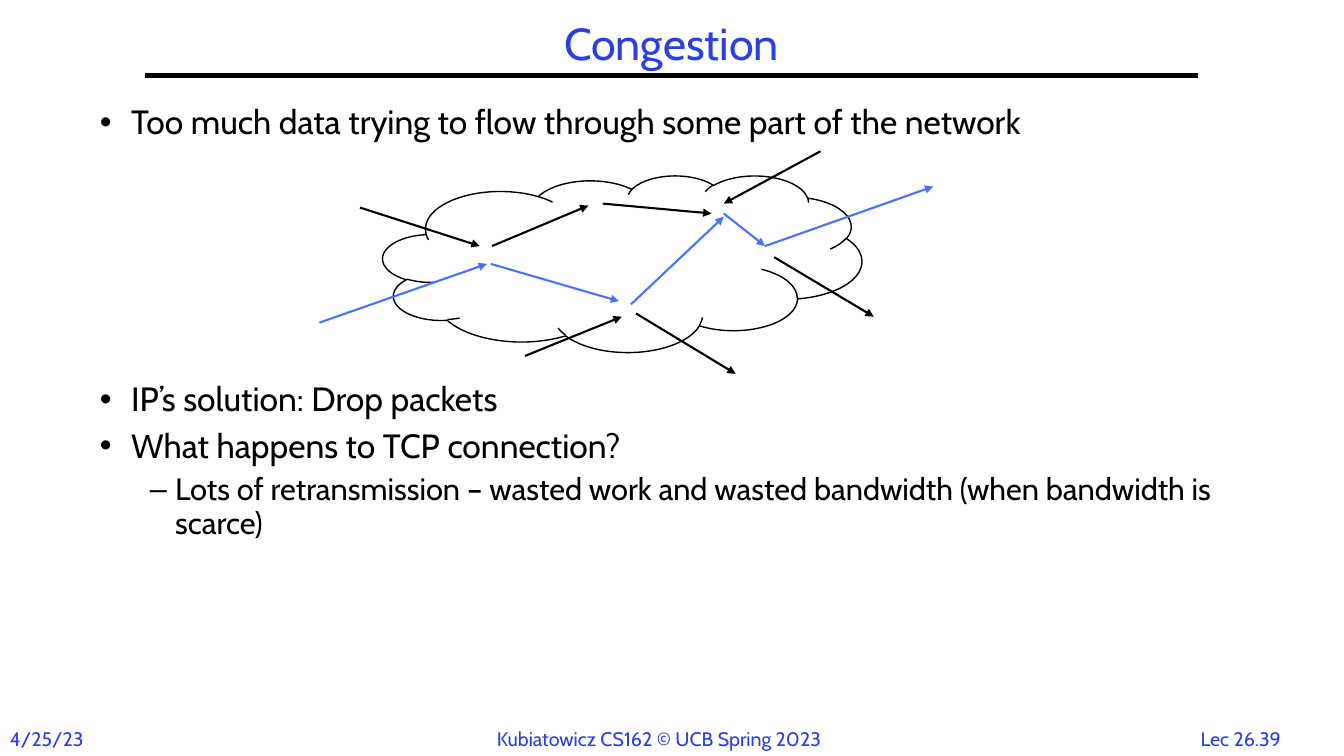
from lxml import etree
from pptx import Presentation
from pptx import util as u
from pptx.dml.color import RGBColor
from pptx.enum import shapes, text
from pptx.oxml.ns import qn

FONT = "Cabin"
COLORS = {"title": "2A40E2", "ink": "000000", "flow": "4B71FD"}

# Arrow ends in cm, measured from the top left corner of the cloud
CONGESTED_FLOWS = [
    ((-1.6, 3.71), (2.62, 2.23)),
    ((2.72, 2.23), (5.95, 3.17)),
    ((6.25, 3.25), (8.59, 1.04)),
    ((8.59, 0.96), (9.63, 1.78)),
    ((9.63, 1.78), (13.87, 0.28)),
]
OTHER_FLOWS = [
    ((-0.58, 0.81), (2.44, 1.78)),
    ((2.75, 1.78), (5.18, 0.76)),
    ((5.54, 0.71), (8.28, 0.96)),
    ((11.03, -0.61), (8.59, 0.71)),
    ((3.58, 4.55), (6.02, 3.56)),
    ((6.38, 3.48), (8.89, 5.0)),
    ((9.86, 2.06), (12.37, 3.56)),
]

# Text, level, space before in points; the wide gap leaves room for the cloud
BULLETS = [
    ("Too much data trying to flow through some part of the network", 0, 7),
    ("IP’s solution: Drop packets", 0, 172),
    ("What happens to TCP connection?", 0, 7),
    ("Lots of retransmission – wasted work and wasted bandwidth "
     "(when bandwidth is scarce)", 1, 6.5),
]
# Size, left margin in cm, hanging indent in cm, bullet
LEVELS = [(24, 0.79, 0.79, "•"), (22, 1.9, 0.64, "–")]


def color(name):
    return RGBColor.from_string(COLORS[name])


def place(shape, box):
    shape.left, shape.top, shape.width, shape.height = (u.Cm(v) for v in box)


def write(paragraph, content, size, ink="ink", align=text.PP_ALIGN.LEFT,
          spacing=None, before=0):
    run = paragraph.add_run()
    run.text = content
    run.font.name = FONT
    run.font.size = u.Pt(size)
    run.font.color.rgb = color(ink)
    paragraph.alignment = align
    paragraph.line_spacing = spacing
    paragraph.space_before = u.Pt(before)


def add_line(slide, start, end, ink, width, arrow=False):
    line = slide.shapes.add_connector(
        shapes.MSO_CONNECTOR.STRAIGHT, *(u.Cm(v) for v in (*start, *end)))
    line.line.color.rgb = color(ink)
    line.line.width = u.Pt(width)
    if arrow:
        outline = line.line._get_or_add_ln()
        etree.SubElement(outline, qn("a:tailEnd"), type="triangle")
    etree.SubElement(line._element.spPr, qn("a:effectLst"))


def add_title(slide, box):
    title = slide.shapes.title
    place(title, box)
    frame = title.text_frame
    frame.auto_size = text.MSO_AUTO_SIZE.NONE
    frame.vertical_anchor = text.MSO_ANCHOR.MIDDLE
    write(frame.paragraphs[0], "Congestion", 32, ink="title",
          align=text.PP_ALIGN.CENTER, spacing=0.9)
    # Rule along the lower edge of the title
    left, top, width, height = box
    add_line(slide, (left, top + height), (left + width, top + height), "ink", 3)


def add_bullets(slide, box):
    body = slide.placeholders[1]
    place(body, box)
    frame = body.text_frame
    frame.auto_size = text.MSO_AUTO_SIZE.NONE
    for index, (content, level, before) in enumerate(BULLETS):
        paragraph = frame.add_paragraph() if index else frame.paragraphs[0]
        size, margin, hanging, bullet = LEVELS[level]
        paragraph.level = level
        write(paragraph, content, size, spacing=0.9, before=before)
        properties = paragraph._p.get_or_add_pPr()
        properties.set("marL", str(u.Cm(margin)))
        properties.set("indent", str(-u.Cm(hanging)))
        etree.SubElement(properties, qn("a:buChar"), char=bullet)


def add_network(slide, box):
    cloud = slide.shapes.add_shape(
        shapes.MSO_SHAPE.CLOUD, *(u.Cm(v) for v in box))
    cloud.shadow.inherit = False
    cloud.fill.background()
    cloud.line.color.rgb = color("ink")
    cloud.line.width = u.Pt(1)
    # Traffic through the cloud
    left, top = box[:2]
    for ink, flows in (("flow", CONGESTED_FLOWS), ("ink", OTHER_FLOWS)):
        for (x1, y1), (x2, y2) in flows:
            add_line(slide, (left + x1, top + y1), (left + x2, top + y2),
                     ink, 1.5, arrow=True)


def add_footer(slide, box):
    left, top, width, height = box
    center, start = text.PP_ALIGN.CENTER, text.PP_ALIGN.LEFT
    # The date box is wide enough to keep the whole date on one line
    parts = [
        ("4/25/23", 0, 3, start),
        ("Kubiatowicz CS162 © UCB Spring 2023", 12.27, 9.35, start),
        ("Lec 26.39", width - 2.74, 2.74, center),
    ]
    for content, offset, part_width, align in parts:
        label = slide.shapes.add_textbox(
            *(u.Cm(v) for v in (left + offset, top, part_width, height)))
        label.text_frame.word_wrap = True
        write(label.text_frame.paragraphs[0], content, 14, ink="title",
              align=align)


def main():
    presentation = Presentation()
    presentation.slide_width = u.Cm(33.87)
    presentation.slide_height = u.Cm(19.05)
    slide = presentation.slides.add_slide(presentation.slide_layouts[1])
    add_footer(slide, (0, 18.19, 32.64, 0.86))
    add_bullets(slide, (2.26, 2.54, 29.36, 14.17))
    add_title(slide, (3.66, 0.43, 26.53, 1.47))
    add_network(slide, (9.65, 4.42, 12.07, 4.45))
    presentation.save("out.pptx")


if __name__ == "__main__":
    main()
